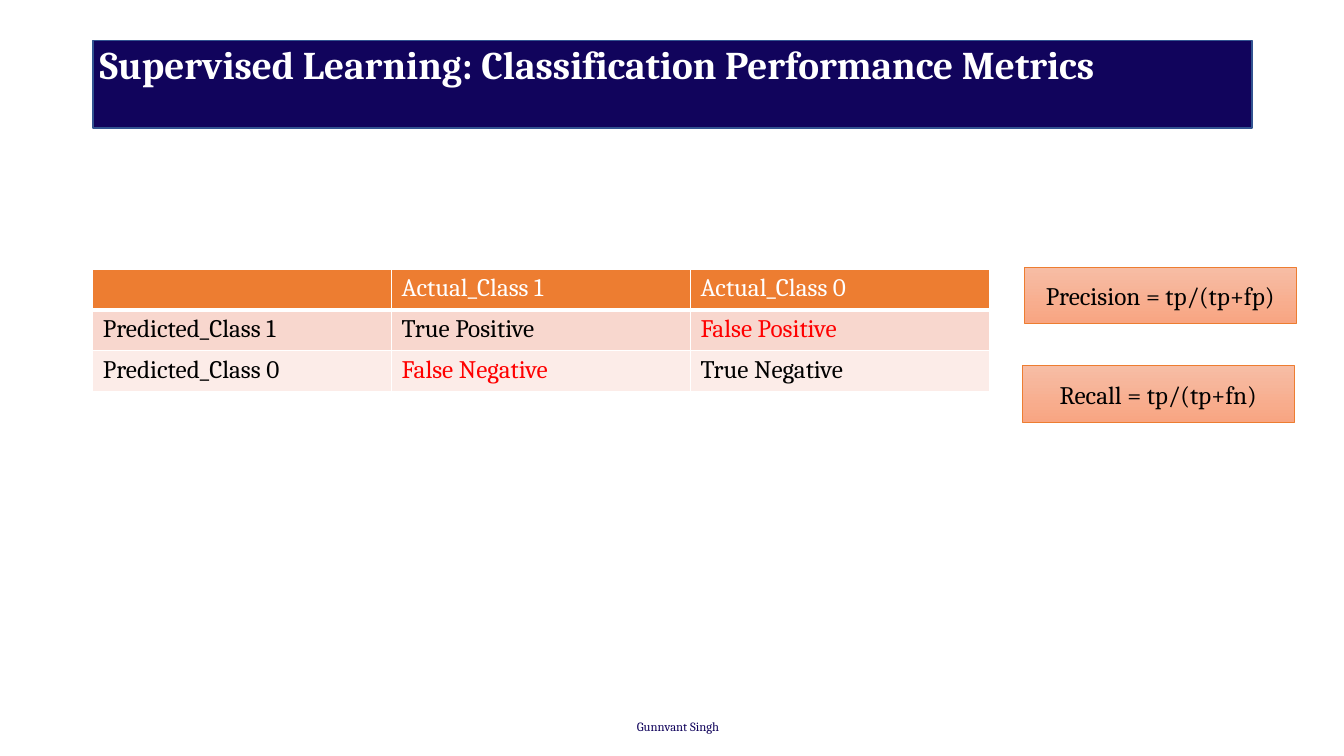
from lxml.etree import SubElement
from pptx import Presentation
from pptx.dml.color import RGBColor
from pptx.enum.shapes import MSO_SHAPE
from pptx.enum.text import MSO_ANCHOR, PP_ALIGN
from pptx.oxml.ns import qn
from pptx.util import Cm, Pt

NAVY = RGBColor(0x11, 0x04, 0x5C)
BAND_LINE = RGBColor(0x32, 0x54, 0x91)
WHITE = RGBColor(0xFF, 0xFF, 0xFF)
BLACK = RGBColor(0x00, 0x00, 0x00)
RED = RGBColor(0xFF, 0x00, 0x00)
ORANGE = RGBColor(0xED, 0x7D, 0x31)
ROW_DARK = RGBColor(0xF8, 0xD7, 0xCE)
ROW_LIGHT = RGBColor(0xFC, 0xEC, 0xE8)
PEACH_TOP = RGBColor(0xF7, 0xBD, 0xA5)
PEACH_BOTTOM = RGBColor(0xF8, 0xA5, 0x82)

MATRIX = [
    ["", "Actual_Class 1", "Actual_Class 0"],
    ["Predicted_Class 1", "True Positive", "False Positive"],
    ["Predicted_Class 0", "False Negative", "True Negative"],
]
ROW_FILLS = [ORANGE, ROW_DARK, ROW_LIGHT]


class MetricsSlide:
    font_name = "Cambria"

    def __init__(self, presentation):
        self.slide = presentation.slides.add_slide(presentation.slide_layouts[6])

    def set_text(self, text_frame, text, size, color, bold=False):
        text_frame.text = text
        paragraph = text_frame.paragraphs[0]
        for run in paragraph.runs:
            run.font.name = self.font_name
            run.font.size = Pt(size)
            run.font.bold = bold
            run.font.color.rgb = color
        return paragraph

    def rectangle(self, left, top, width, height, line_color, line_width):
        shape = self.slide.shapes.add_shape(
            MSO_SHAPE.RECTANGLE, Cm(left), Cm(top), Cm(width), Cm(height))
        shape.shadow.inherit = False
        shape.line.color.rgb = line_color
        shape.line.width = Pt(line_width)
        return shape

    def band(self, left, top, width, height):
        shape = self.rectangle(left, top, width, height, BAND_LINE, 1)
        shape.fill.solid()
        shape.fill.fore_color.rgb = NAVY

    def text(self, left, top, width, height, text, size, color, bold=False, wrap=True):
        box = self.slide.shapes.add_textbox(Cm(left), Cm(top), Cm(width), Cm(height))
        box.text_frame.word_wrap = wrap
        return self.set_text(box.text_frame, text, size, color, bold)

    def formula(self, left, top, text):
        shape = self.rectangle(left, top, 6.86, 1.42, ORANGE, 0.5)
        shape.fill.gradient()
        shape.fill.gradient_angle = 270
        for stop, color in zip(shape.fill.gradient_stops, (PEACH_TOP, PEACH_BOTTOM)):
            stop.color.rgb = color
        shape.text_frame.vertical_anchor = MSO_ANCHOR.MIDDLE
        paragraph = self.set_text(shape.text_frame, text, 18, BLACK)
        paragraph.alignment = PP_ALIGN.CENTER

    def borders(self, cell, bottom_width):
        properties = cell._tc.get_or_add_tcPr()
        for side, width in (("L", 1), ("R", 1), ("T", 1), ("B", bottom_width)):
            line = SubElement(properties, qn(f"a:ln{side}"), w=str(Pt(width)))
            fill = SubElement(line, qn("a:solidFill"))
            SubElement(fill, qn("a:srgbClr"), val=str(WHITE))

    def matrix(self, left, top, column_width, row_height):
        row_count, column_count = len(MATRIX), len(MATRIX[0])
        table = self.slide.shapes.add_table(
            row_count, column_count, Cm(left), Cm(top),
            Cm(column_width * column_count), Cm(row_height * row_count)).table
        for row_index, values in enumerate(MATRIX):
            is_header = row_index == 0
            for column_index, value in enumerate(values):
                cell = table.cell(row_index, column_index)
                self.borders(cell, 3 if is_header else 1)
                cell.fill.solid()
                cell.fill.fore_color.rgb = ROW_FILLS[row_index]
                color = WHITE if is_header else RED if value.startswith("False") else BLACK
                self.set_text(cell.text_frame, value, 18, color)


def main():
    presentation = Presentation()
    presentation.slide_width = Cm(33.87)
    presentation.slide_height = Cm(19.05)
    metrics = MetricsSlide(presentation)
    metrics.band(2.34, 1.02, 29.21, 2.21)
    metrics.text(15.8, 17.98, 2.74, 0.64, "Gunnvant Singh", 9, NAVY, wrap=False)
    title = metrics.text(2.26, 1.02, 29.29, 3.1,
                         "Supervised Learning: Classification Performance Metrics",
                         28, WHITE, bold=True)
    title.line_spacing = 0.9
    metrics.matrix(2.34, 6.78, 7.53, 1.03)
    metrics.formula(25.81, 6.73, "Precision = tp/(tp+fp)")
    metrics.formula(25.76, 9.22, "Recall = tp/(tp+fn)")
    presentation.save("out.pptx")


if __name__ == "__main__":
    main()
